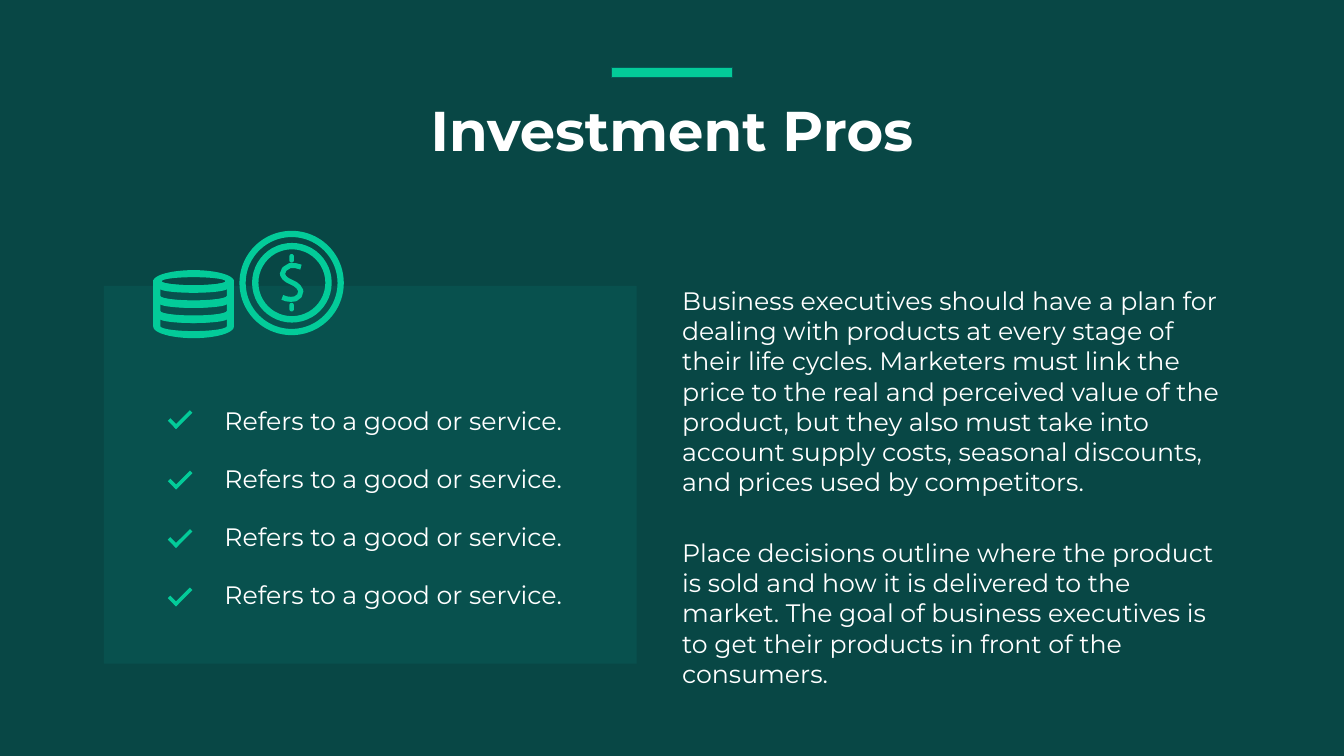
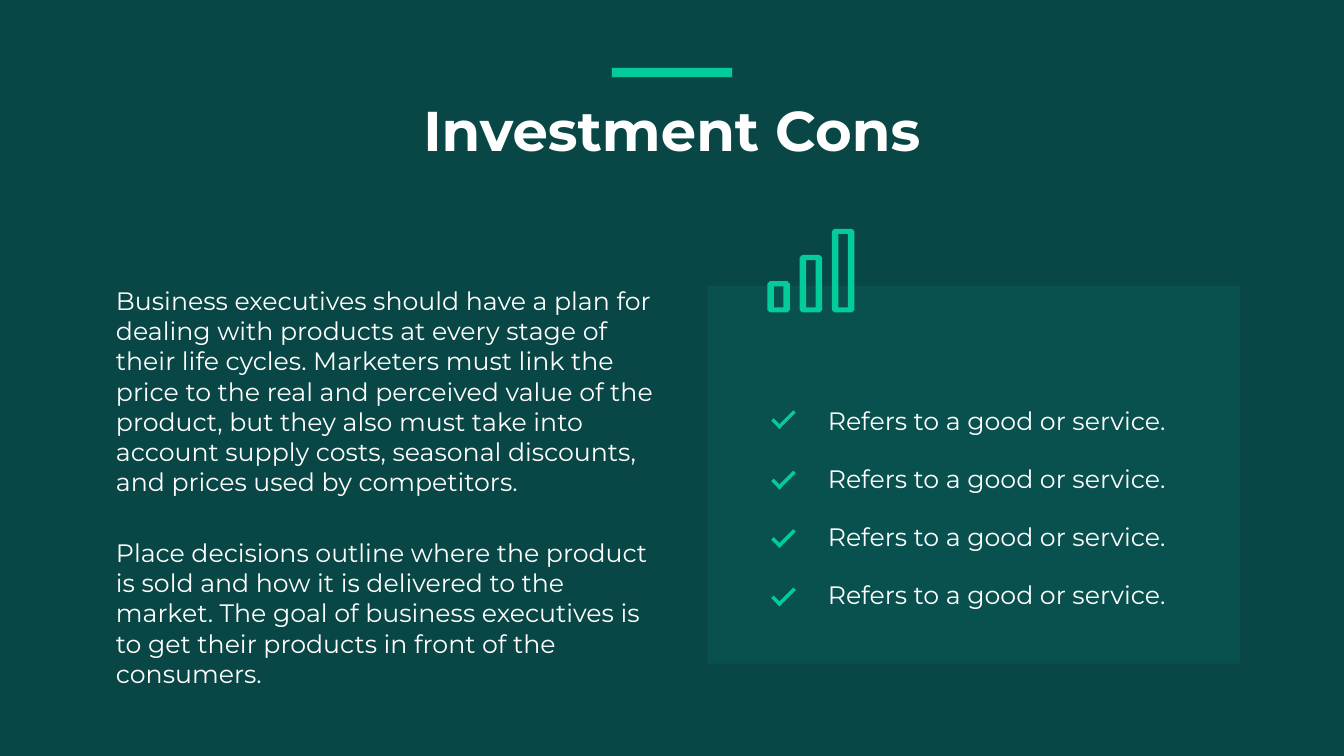
"""Build the two investment slides, pros and cons."""
from math import cos, pi, sin

from lxml import etree
from pptx import Presentation
from pptx.dml import color as col
from pptx.enum import shapes as kinds, text as txt
from pptx.oxml import ns
from pptx.util import Inches, Pt

BACK, PANEL, GREEN, EDGE, WHITE = "084745", "097A76", "03CB99", "075A57", "FFFFFF"
FONT = "Montserrat"
ITEMS = ["Refers to a good or service."] * 4
TICKS = (8.29, 9.49, 10.65, 11.81)
STORY = [
    "Business executives should have a plan for dealing with products at every "
    "stage of their life cycles. Marketers must link the price to the real and "
    "perceived value of the product, but they also must take into account supply "
    "costs, seasonal discounts, and prices used by competitors.",
    "Place decisions outline where the product is sold and how it is delivered to "
    "the market. The goal of business executives is to get their products in front "
    "of the consumers.",
]
CURVE = [(5.97, 5.3), (5.86, 5.27), (5.75, 5.27), (5.64, 5.34), (5.6, 5.44),
         (5.64, 5.51), (5.7, 5.56), (5.78, 5.6), (5.86, 5.64), (5.92, 5.69),
         (5.97, 5.77), (5.94, 5.87), (5.86, 5.93), (5.77, 5.94), (5.68, 5.93),
         (5.6, 5.9)]


def paint(fill, tone):
    """Give a fill one solid colour from a hex string."""
    fill.solid()
    fill.fore_color.rgb = col.RGBColor.from_string(tone)


def fade(shape, share):
    """Make a solid fill let the background through."""
    tone = shape._element.spPr.find(ns.qn("a:solidFill"))[0]
    etree.SubElement(tone, ns.qn("a:alpha"), val=str(share * 1000))


def block(slide, box, tone=GREEN, kind="RECTANGLE", turn=0, adj=None):
    """Draw a flat preset shape without a line."""
    shape = slide.shapes.add_shape(
        getattr(kinds.MSO_SHAPE, kind), *map(Inches, box))
    shape.shadow.inherit = False
    shape.rotation = turn
    shape.line.fill.background()
    paint(shape.fill, tone)
    if adj is not None:
        shape.adjustments[0] = adj
    return shape


def trace(slide, rings, line=None):
    """Draw closed rings as one filled outline, or open ones as a line."""
    rings = [[(Inches(x), Inches(y)) for x, y in ring] for ring in rings]
    pen = slide.shapes.build_freeform(*rings[0][0])
    for ring in rings:
        if ring is not rings[0]:
            pen.move_to(*ring[0])
        pen.add_line_segments(ring[1:], close=line is None)
    shape = pen.convert_to_shape()
    shape.shadow.inherit = False
    if line:
        shape.fill.background()
        paint(shape.line.fill, GREEN)
        shape.line.width = Pt(line)
    else:
        paint(shape.fill, GREEN)
        shape.line.fill.background()


def arc(mid, rad, start, end, steps=24):
    """List points on an ellipse between two angles in half turns."""
    turns = [pi * (start + (end - start) * i / steps) for i in range(steps + 1)]
    return [(mid[0] + rad[0] * cos(t), mid[1] + rad[1] * sin(t)) for t in turns]


def write(holder, box, lines, size=36, bold=False, align="LEFT", gap=0,
          inset=(0.24, 0.12)):
    """Place a placeholder in front and fill it with formatted paragraphs."""
    holder._element.getparent().append(holder._element)
    holder.left, holder.top, holder.width, holder.height = map(Inches, box)
    frame = holder.text_frame
    frame.word_wrap = True
    frame.auto_size = txt.MSO_AUTO_SIZE.NONE
    frame.vertical_anchor = txt.MSO_ANCHOR.TOP
    frame.margin_left = frame.margin_right = Inches(inset[0])
    frame.margin_top = frame.margin_bottom = Inches(inset[1])
    for i, line in enumerate(lines):
        para = frame.add_paragraph() if i else frame.paragraphs[0]
        para.alignment = getattr(txt.PP_ALIGN, align)
        para.space_before = Pt(gap if i else 0)
        para.space_after = Pt(0)
        props = para._p.get_or_add_pPr()
        props.set("marL", "0")
        props.set("indent", "0")
        etree.SubElement(props, ns.qn("a:buNone"))
        run = para.add_run()
        run.text = line
        run.font.name, run.font.size, run.font.bold = FONT, Pt(size), bold
        run.font.color.rgb = col.RGBColor.from_string(WHITE)


def tick(slide, x, y):
    """Draw a check mark from two turned bars."""
    block(slide, (x, y + 0.08, 0.23, 0.07), turn=45)
    block(slide, (x + 0.08, y, 0.46, 0.07), turn=315)


def band(slide, y):
    """Draw the rim of one coin in the stack."""
    mid, left, right = 3.84, 3.04, 4.64
    rim = [(left, y + 0.05), *arc((mid, y + 0.37), (0.8, 0.23), 1, 0),
           (right, y + 0.05), (4.57, y),
           *arc((mid, y + 0.06), (0.66, 0.09), 0, 1), (3.11, y)]
    hole = (arc((mid, y + 0.22), (0.66, 0.08), 1, 0)
            + arc((mid, y + 0.36), (0.66, 0.1), 0, 1))
    trace(slide, [rim, hole])


def coins(slide):
    """Draw a stack of coins beside a dollar coin."""
    trace(slide, [arc((3.84, 5.58), rad, 0, 2, 48)
                  for rad in ((0.8, 0.22), (0.63, 0.08))])
    for i in range(3):
        band(slide, 5.51 + 0.3 * i)
    block(slide, (4.75, 4.58, 2.07, 2.07), kind="DONUT", adj=0.06)
    block(slide, (5, 4.82, 1.58, 1.58), kind="DONUT", adj=0.08)
    trace(slide, [CURVE], line=7.2)
    for y in (5.04, 6.01):
        block(slide, (5.74, y, 0.09, 0.17), kind="ROUNDED_RECTANGLE", adj=0.5)


def bars(slide):
    """Draw three hollow bars of rising height."""
    wide, base, cut = 0.45, 6.2, 0.05
    for i, high in enumerate((0.62, 1.14, 1.66)):
        x, y = 15.22 + 0.64 * i, base - high
        far = x + wide
        rim = [(x + cut, y), (far - cut, y), (far, y + cut), (far, base - cut),
               (far - cut, base), (x + cut, base), (x, base - cut), (x, y + cut)]
        near, end, top, low = x + 0.13, far - 0.13, y + 0.1, base - 0.1
        trace(slide, [rim, [(near, low), (end, low), (end, top), (near, top)]])


def page(deck, title, left, story, icon):
    """Add a slide with a checklist panel, a story and an icon."""
    slide = deck.slides.add_slide(deck.slide_layouts[3])
    head, checks, body = slide.placeholders
    write(head, (6.14, 1.84, 14.38, 1.45), [title], size=80, bold=True,
          align="CENTER", inset=(0.1, 0.05))
    strip = block(slide, (12.13, 1.34, 2.4, 0.2))
    paint(strip.line.fill, EDGE)
    strip.line.width = Pt(1)
    fade(block(slide, (left, 5.67, 10.57, 7.5), PANEL), 20)
    icon(slide)
    write(checks, (left + 2.15, 7.93, 7.18, 4.31), ITEMS, gap=39.6)
    for y in TICKS:
        tick(slide, left + 1.26, y)
    write(body, (story, 5.54, 11.31, 7.75), STORY, gap=57.6)


def main():
    """Build and save the deck."""
    deck = Presentation()
    deck.slide_width, deck.slide_height = Inches(26.66), Inches(15)
    paint(deck.slide_master.background.fill, BACK)
    page(deck, "Investment Pros", 2.06, 13.29, coins)
    page(deck, "Investment Cons", 14.03, 2.06, bars)
    deck.save("out.pptx")


main()
